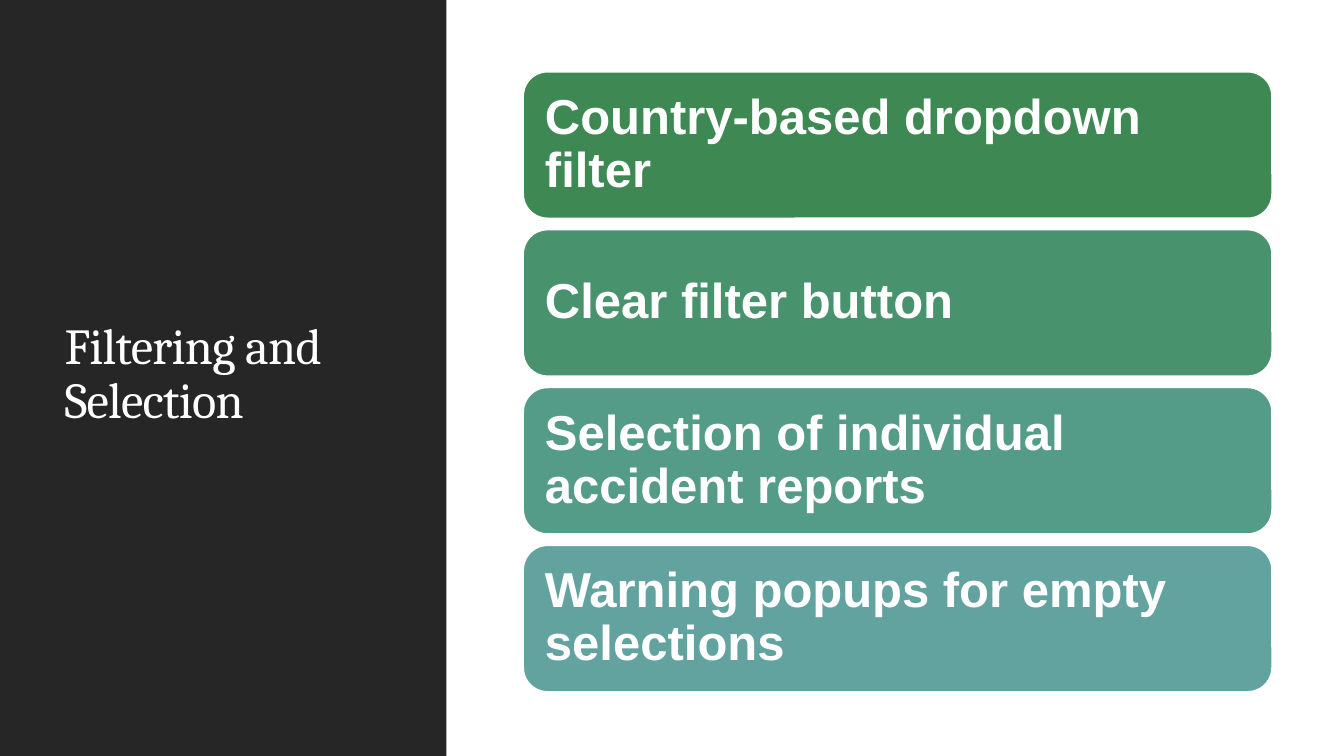
import pptx
import pptx.dml.color
import pptx.enum.shapes
import pptx.enum.text
import pptx.util

Pt = pptx.util.Pt
MSO_SHAPE = pptx.enum.shapes.MSO_SHAPE


def color(value):
    return pptx.dml.color.RGBColor.from_string(value)


class Deck:
    title_font = "Cambria"
    body_font = "Arial"
    white = "FFFFFF"
    dark = "262626"

    def __init__(self, width, height):
        self.prs = pptx.Presentation()
        self.prs.slide_width = Pt(width)
        self.prs.slide_height = Pt(height)
        self.slide = self.prs.slides.add_slide(self.prs.slide_layouts[5])

    def add_text(self, sp, text, font, size, bold, margins):
        tf = sp.text_frame
        tf.word_wrap = True
        tf.auto_size = pptx.enum.text.MSO_AUTO_SIZE.NONE
        tf.vertical_anchor = pptx.enum.text.MSO_ANCHOR.MIDDLE
        tf.margin_left = tf.margin_right = Pt(margins[0])
        tf.margin_top = tf.margin_bottom = Pt(margins[1])
        p = tf.paragraphs[0]
        p.alignment = pptx.enum.text.PP_ALIGN.LEFT
        p.line_spacing = 0.9
        r = p.add_run()
        r.text = text
        r.font.name = font
        r.font.size = Pt(size)
        r.font.bold = bold
        r.font.color.rgb = color(self.white)
        return r

    def title(self, text, x, y, w, h):
        sp = self.slide.shapes.title
        sp.left, sp.top, sp.width, sp.height = Pt(x), Pt(y), Pt(w), Pt(h)
        r = self.add_text(sp, text, self.title_font, 36, False, (7.2, 3.6))
        r.font._element.set("spc", "-50")

    def shape(self, kind, x, y, w, h, fill):
        sp = self.slide.shapes.add_shape(kind, Pt(x), Pt(y), Pt(w), Pt(h))
        sp.shadow.inherit = False
        sp.fill.solid()
        sp.fill.fore_color.rgb = color(fill)
        sp.line.fill.background()
        return sp

    def panel(self, x, y, w, h):
        sp = self.shape(MSO_SHAPE.RECTANGLE, x, y, w, h, self.dark)
        self.slide.shapes._spTree.insert(2, sp._element)

    def card(self, text, x, y, w, h, fill):
        sp = self.shape(MSO_SHAPE.ROUNDED_RECTANGLE, x, y, w, h, fill)
        sp.line.color.rgb = color(self.white)
        sp.line.width = Pt(1.25)
        self.add_text(sp, text, self.body_font, 35, True, (10.5, 10.5))


def main():
    deck = Deck(960, 540)
    deck.panel(0, 0, 318.8, 540)
    deck.title("Filtering and Selection", 38.9, 41, 242.6, 454.3)
    features = [
        ("Country-based dropdown filter", "3E8853"),
        ("Clear filter button", "49926E"),
        ("Selection of individual accident reports", "549C88"),
        ("Warning popups for empty selections", "62A39F"),
    ]
    for i, (text, fill) in enumerate(features):
        deck.card(text, 373.7, 51.2 + i * 112.75, 535, 104.8, fill)
    deck.prs.save("out.pptx")


if __name__ == "__main__":
    main()
